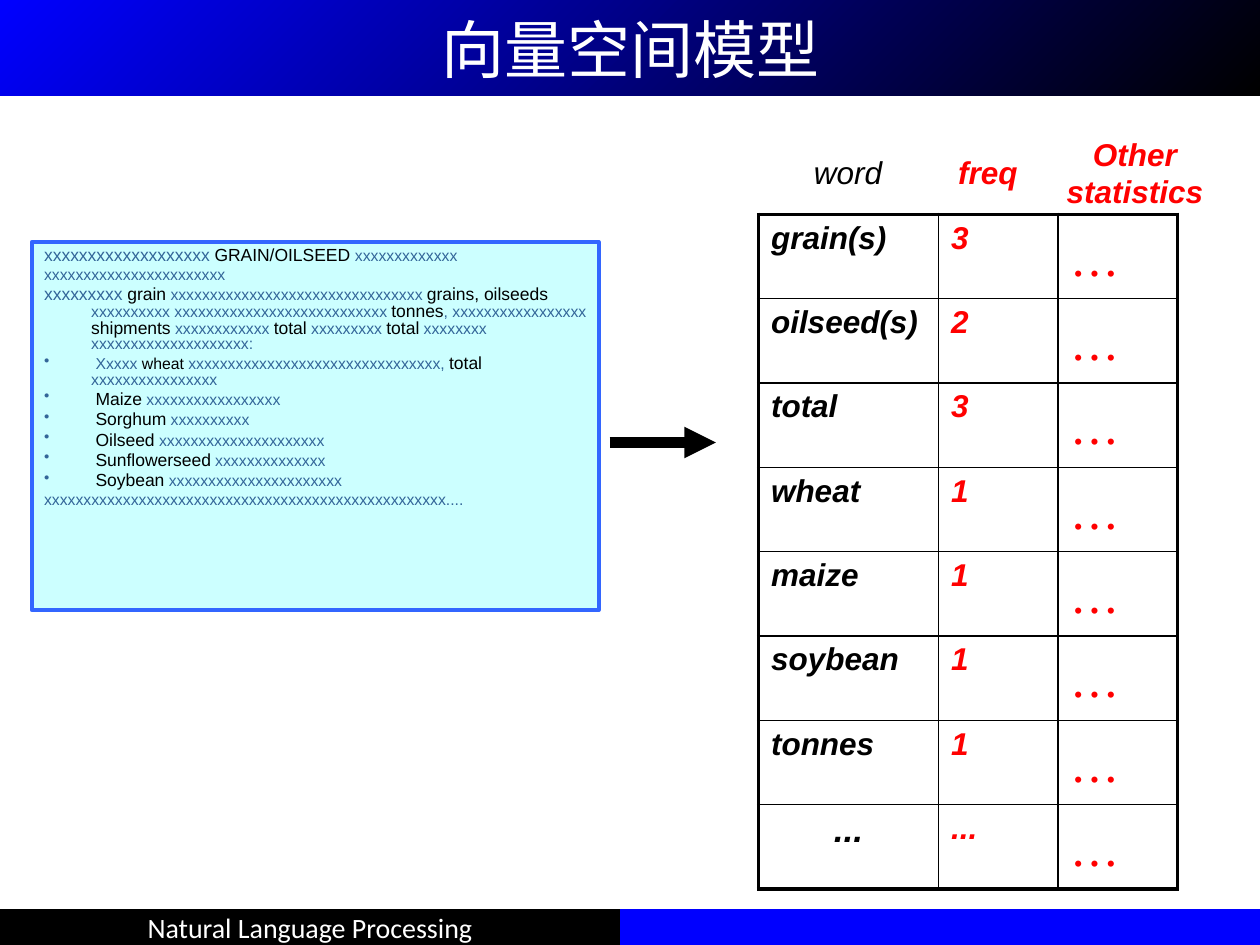
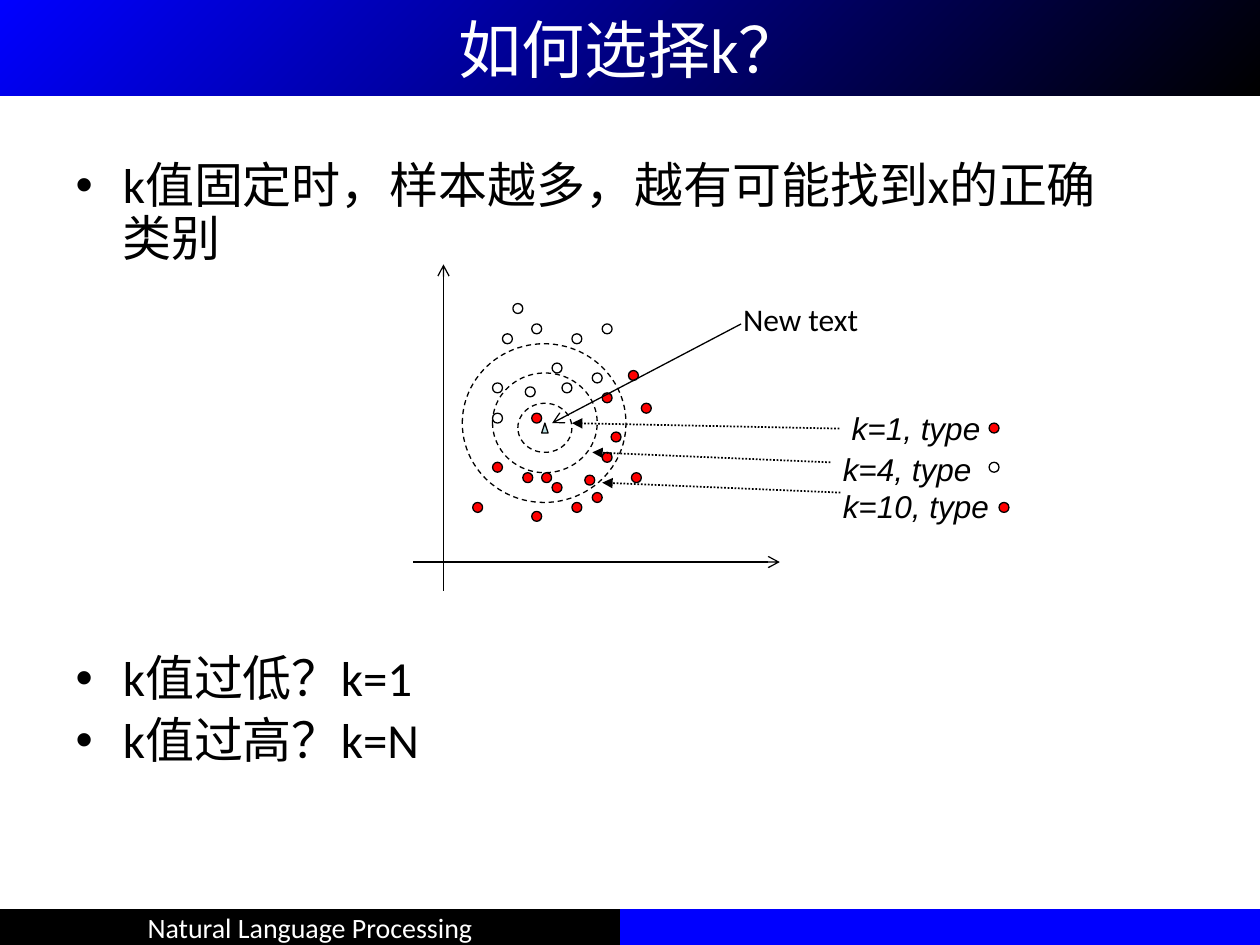
"""Build two lecture slides: the vector space model and the choice of k."""
from dataclasses import dataclass

from lxml import etree
from pptx import Presentation
from pptx.dml.color import RGBColor
from pptx.enum import dml, shapes, text
from pptx.oxml import ns
from pptx.util import Cm, Pt


@dataclass(frozen=True)
class Theme:
    """Colours, fonts and type sizes of the deck."""
    black: str = "000000"
    white: str = "FFFFFF"
    blue: str = "0000FF"
    red: str = "FF0000"
    pale_cyan: str = "CCFFFF"
    frame_blue: str = "3366FF"
    filler_blue: str = "336699"
    marker: str = "BBE0E3"
    sans: str = "Calibri"
    label: str = "Arial"
    serif: str = "TeX Gyre Schola"
    title_size: int = 36
    body_size: int = 28
    last_word_size: int = 20
    label_size: int = 18
    footer_size: int = 16
    keyword_size: int = 10
    filler_size: int = 9
    thin: float = 0.75
    grid: float = 1
    thick: float = 2.25
    arrow: float = 6


T = Theme()
CENTER = text.PP_ALIGN.CENTER
MIDDLE = text.MSO_ANCHOR.MIDDLE
DOT = 0.2

ARTICLE = [
    "xxxxxxxxxxxxxxxxxxx~10| GRAIN/OILSEED |xxxxxxxxxxxxx",
    "xxxxxxxxxxxxxxxxxxxxxxx",
    "xxxxxxxxx~10| grain| xxxxxxxxxxxxxxxxxxxxxxxxxxxxxxxx |grains, oilseeds"
    "| xxxxxxxxxx xxxxxxxxxxxxxxxxxxxxxxxxxxx |tonnes|, xxxxxxxxxxxxxxxxx "
    "|shipments| xxxxxxxxxxxx |total| xxxxxxxxx |total"
    "| xxxxxxxx  xxxxxxxxxxxxxxxxxxxx:",
    "• Xxxxx |wheat~9| xxxxxxxxxxxxxxxxxxxxxxxxxxxxxxxx, |total| xxxxxxxxxxxxxxxx",
    "• |Maize| xxxxxxxxxxxxxxxxx",
    "• |Sorghum| xxxxxxxxxx",
    "• |Oilseed| xxxxxxxxxxxxxxxxxxxxx",
    "• |Sunflowerseed| xxxxxxxxxxxxxx",
    "• |Soybean| xxxxxxxxxxxxxxxxxxxxxx",
    "xxxxxxxxxxxxxxxxxxxxxxxxxxxxxxxxxxxxxxxxxxxxxxxxxxx....",
]
COUNTS = [("grain(s)", "3"), ("oilseed(s)", "2"), ("total", "3"), ("wheat", "1"),
          ("maize", "1"), ("soybean", "1"), ("tonnes", "1"), ("...", "...")]

RED_TEXTS = [(10.72, 8.33), (10.54, 9.53), (11.13, 9.73), (9.93, 9.32),
             (11.53, 10.13), (10.72, 10.31), (12.67, 7.47), (10.92, 9.53),
             (12.93, 8.13), (12.14, 9.12), (12.32, 8.71), (12.14, 7.92),
             (11.79, 9.58), (9.53, 10.13), (12.73, 9.53), (11.94, 9.93)]
WHITE_TEXTS = [(10.34, 6.12), (10.13, 6.73), (10.59, 7.8), (9.93, 7.72),
               (11.53, 6.73), (10.72, 6.53), (9.93, 8.33), (11.94, 7.52),
               (11.33, 7.72), (11.13, 7.32), (12.14, 6.53)]
NEIGHBOURHOODS = [(9.32, 6.93, 3.3, 3.2), (9.93, 7.52, 2.11, 2.01),
                  (10.44, 8.13, 1.09, 0.99)]
VERDICTS = [
    ("k=1, type", (16.92, 8.13), (19.94, 8.53), T.red, (16.92, 8.64), (11.53, 8.53)),
    ("k=10, type", (16.74, 9.7), (20.14, 10.13), T.red, (16.94, 9.93), (12.14, 9.73)),
    ("k=4, type", (16.74, 8.94), (19.94, 9.32), T.white, (16.74, 9.32), (11.94, 9.12)),
]


def rgb(code):
    """Turn a hex code into a colour."""
    return RGBColor.from_string(code)


def cm(*lengths):
    """Convert several lengths in centimetres."""
    return [Cm(length) for length in lengths]


def add_run(paragraph, words, size=T.label_size, font=T.sans, color=T.black,
            bold=False, italic=False):
    """Add one formatted run."""
    run = paragraph.add_run()
    run.text = words
    style = run.font
    style.size, style.name, style.bold, style.italic = Pt(size), font, bold, italic
    style.color.rgb = rgb(color)


def write(frame, words, align=None, anchor=None, wrap=True, before=0, spacing=None,
          **style):
    """Fill a text frame, one paragraph for each line of words."""
    frame.word_wrap = wrap
    frame.auto_size = text.MSO_AUTO_SIZE.NONE
    if anchor is not None:
        frame.vertical_anchor = anchor
    for index, line in enumerate(words.split("\n")):
        paragraph = frame.paragraphs[0] if index == 0 else frame.add_paragraph()
        paragraph.alignment = align
        paragraph.space_before = Pt(before)
        paragraph.line_spacing = spacing
        add_run(paragraph, line, **style)


def add_label(slide, box, words, **style):
    """Add a text box."""
    write(slide.shapes.add_textbox(*cm(*box)).text_frame, words, **style)


def add_figure(slide, kind, box, fill, line=None, width=T.thin, dash=None):
    """Add a filled preset shape, outlined when a line colour is given."""
    figure = slide.shapes.add_shape(kind, *cm(*box))
    figure.shadow.inherit = False
    figure.fill.solid()
    figure.fill.fore_color.rgb = rgb(fill)
    if line is None:
        figure.line.fill.background()
    else:
        figure.line.color.rgb = rgb(line)
        figure.line.width = Pt(width)
        figure.line.dash_style = dash
    return figure


def add_arrow(slide, start, end, width=T.thin, head="arrow", dash=None):
    """Add a straight black arrow."""
    arrow = slide.shapes.add_connector(shapes.MSO_CONNECTOR.STRAIGHT, *cm(*start, *end))
    arrow.line.color.rgb = rgb(T.black)
    arrow.line.width = Pt(width)
    arrow.line.dash_style = dash
    etree.SubElement(arrow.line._get_or_add_ln(), ns.qn("a:tailEnd"), type=head)
    etree.SubElement(arrow.element.spPr, ns.qn("a:effectLst"))


def add_dots(slide, places, fill):
    """Add one outlined dot at each place."""
    for place in places:
        add_figure(slide, shapes.MSO_SHAPE.OVAL, (*place, DOT, DOT), fill, T.black)


def add_footer(prs, slide):
    """Draw the footer band and hand it over to the slide master."""
    course = add_figure(slide, shapes.MSO_SHAPE.RECTANGLE, (0, 18.33, 12.5, 0.72), T.black)
    write(course.text_frame, "Natural Language Processing", align=CENTER, anchor=MIDDLE,
          wrap=False, size=T.footer_size, color=T.white)
    accent = add_figure(slide, shapes.MSO_SHAPE.RECTANGLE, (12.5, 18.33, 12.9, 0.72), T.blue)
    for band in (course, accent):
        band.element.nvSpPr.cNvPr.set("id", str(band.shape_id + 100))
        prs.slide_master.shapes.element.append(band.element)


def place(placeholder, box):
    """Move and size a placeholder."""
    (placeholder.left, placeholder.top,
     placeholder.width, placeholder.height) = cm(*box)


def add_titled_slide(prs, layout, heading):
    """Add a slide with the gradient title band."""
    slide = prs.slides.add_slide(prs.slide_layouts[layout])
    title = slide.shapes.title
    place(title, (0, 0, 25.4, 1.93))
    title.fill.gradient()
    title.fill.gradient_angle = 315
    for stop, (position, color) in zip(title.fill.gradient_stops,
                                       ((0, T.blue), (1, T.black))):
        stop.position = position
        stop.color.rgb = rgb(color)
    write(title.text_frame, heading, align=CENTER, anchor=MIDDLE,
          size=T.title_size, color=T.white)
    return slide


def add_article(slide):
    """Add the news article, with its keywords between filler words."""
    article = add_figure(slide, shapes.MSO_SHAPE.RECTANGLE, (0.64, 4.88, 11.43, 7.42),
                         T.pale_cyan, T.frame_blue, T.thick)
    frame = article.text_frame
    frame.word_wrap = True
    frame.vertical_anchor = text.MSO_ANCHOR.TOP
    for index, line in enumerate(ARTICLE):
        paragraph = frame.paragraphs[0] if index == 0 else frame.add_paragraph()
        paragraph.alignment = text.PP_ALIGN.LEFT
        paragraph.line_spacing = 0.8
        paragraph.space_before = Pt(2)
        props = paragraph._p.get_or_add_pPr()
        props.set("marL", str(Cm(0.95)))
        props.set("indent", str(-Cm(0.95)))
        if line.startswith("•"):
            etree.SubElement(props, ns.qn("a:buChar"), char="•")
        for order, piece in enumerate(line.lstrip("•").split("|")):
            words, _, size = piece.partition("~")
            color, usual = ((T.black, T.keyword_size) if order % 2
                            else (T.filler_blue, T.filler_size))
            add_run(paragraph, words, size=int(size or usual), font=T.label, color=color)


def set_borders(cell, widths):
    """Give a cell black borders, in the order left, right, top, bottom."""
    props = cell._tc.get_or_add_tcPr()
    for index, (side, width) in enumerate(zip("LRTB", widths)):
        border = etree.Element(ns.qn(f"a:ln{side}"), w=str(Pt(width)))
        fill = etree.SubElement(border, ns.qn("a:solidFill"))
        etree.SubElement(fill, ns.qn("a:srgbClr"), val=T.black)
        props.insert(index, border)


def add_counts(slide):
    """Add the word frequency table with a thick outer frame."""
    widths, height = (3.63, 2.41, 2.41), 1.7
    last_row, last_column = len(COUNTS) - 1, len(widths) - 1
    table = slide.shapes.add_table(len(COUNTS), len(widths), *cm(
        15.29, 4.32, sum(widths), height * len(COUNTS))).table
    table.first_row = table.horz_banding = False
    for column, width in zip(table.columns, widths):
        column.width = Cm(width)
    strong = dict(font=T.label, bold=True, italic=True)
    for r, (word, freq) in enumerate(COUNTS):
        table.rows[r].height = Cm(height)
        word_style = (dict(align=CENTER, size=T.last_word_size) if r == last_row else {})
        entries = [(word, {**strong, **word_style}),
                   (freq, dict(color=T.red, **strong)),
                   ("…", dict(color=T.red, font=T.serif, size=T.body_size))]
        for c, (words, style) in enumerate(entries):
            cell = table.cell(r, c)
            cell.fill.background()
            write(cell.text_frame, words, **style)
            outer = (c == 0, c == last_column, r == 0, r == last_row)
            set_borders(cell, [T.thick if edge else T.grid for edge in outer])


def build_vector_space(prs):
    """Build the slide that turns an article into word counts."""
    slide = add_titled_slide(prs, 5, "向量空间模型")
    add_footer(prs, slide)
    add_counts(slide)
    heads = [((16.08, 2.97, 2.03, 1.09), "word", T.black),
             ((19.05, 2.97, 1.73, 1.02), "freq", T.red),
             ((21.23, 2.59, 3.3, 1.8), "Other\nstatistics", T.red)]
    for box, words, color in heads:
        add_label(slide, box, words, align=CENTER, wrap=False, font=T.label,
                  color=color, bold=color == T.red, italic=True)
    add_article(slide)
    add_arrow(slide, (12.29, 8.92), (14.43, 8.92), T.arrow, "triangle")


def build_choice_of_k(prs):
    """Build the slide that compares neighbourhoods of a new text."""
    slide = add_titled_slide(prs, 1, "如何选择k？")
    questions = slide.placeholders[1]
    place(questions, (1.27, 3.12, 21.64, 13.89))
    write(questions.text_frame,
          "k值固定时，样本越多，越有可能找到x的正确类别\nk值过低？k=1\nk值过高？k=N",
          before=5.6, spacing=0.9, size=T.body_size)
    questions.text_frame.paragraphs[1].space_before = Pt(221)
    for box in NEIGHBOURHOODS:
        add_figure(slide, shapes.MSO_SHAPE.OVAL, box, T.white, T.black,
                   dash=dml.MSO_LINE.DASH)
    add_figure(slide, shapes.MSO_SHAPE.ISOSCELES_TRIANGLE, (10.92, 8.53, 0.13, 0.2),
               T.marker, T.black)
    add_dots(slide, RED_TEXTS, T.red)
    add_dots(slide, WHITE_TEXTS, T.white)
    add_arrow(slide, (8.33, 11.33), (15.72, 11.33))
    add_arrow(slide, (8.94, 11.91), (8.94, 5.33))
    add_arrow(slide, (14.94, 6.53), (11.13, 8.53))
    add_label(slide, (14.73, 5.92, 3, 1.02), "New text")
    for words, corner, sample, fill, start, end in VERDICTS:
        add_arrow(slide, start, end, T.grid, "triangle", dml.MSO_LINE.ROUND_DOT)
        add_label(slide, (*corner, 4.4, 1.02), words, font=T.label, italic=True)
        add_dots(slide, [sample], fill)


def main():
    """Build and save the deck."""
    prs = Presentation()
    prs.slide_width, prs.slide_height = cm(25.4, 19.05)
    build_vector_space(prs)
    build_choice_of_k(prs)
    prs.save("out.pptx")


if __name__ == "__main__":
    main()
